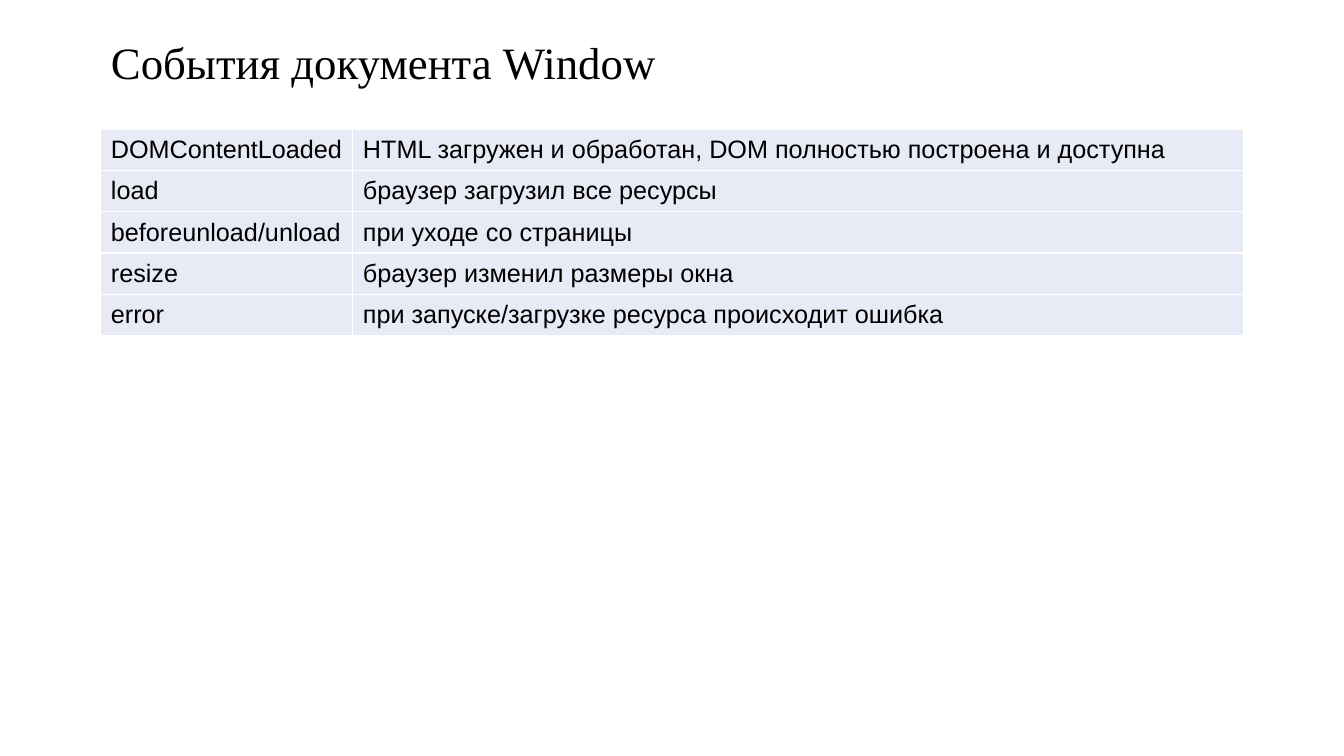
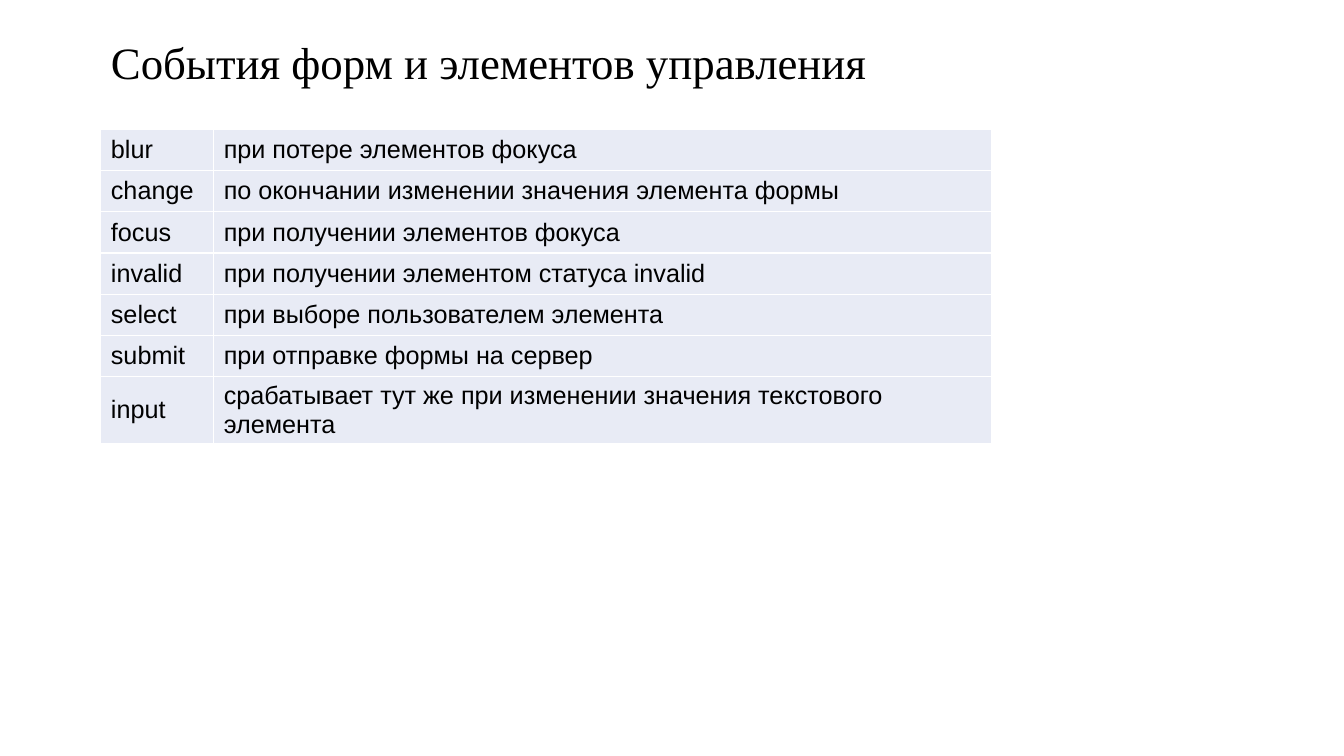
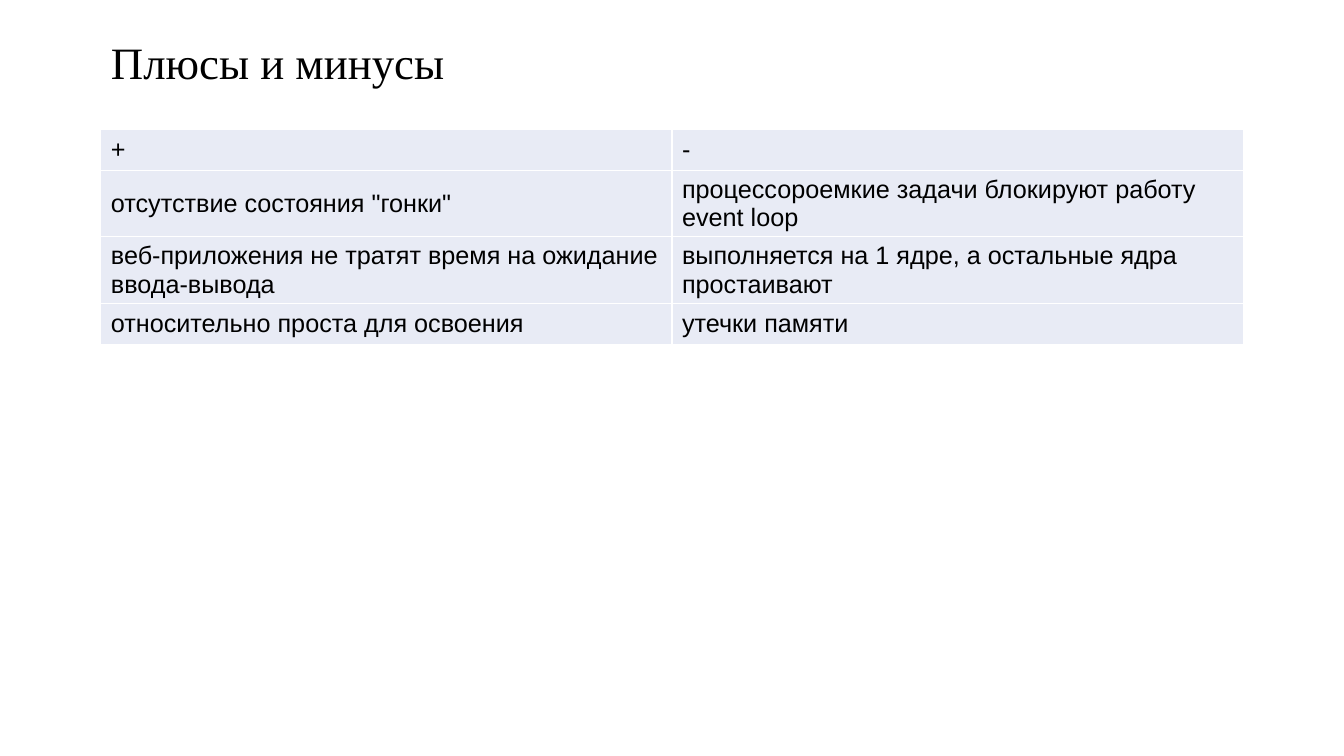
import pptx
import pptx.util
import pptx.dml.color
import pptx.enum.text
import pptx.oxml
import pptx.oxml.ns

Inches = pptx.util.Inches
Pt = pptx.util.Pt
MID = pptx.enum.text.MSO_ANCHOR.MIDDLE
LEFT = pptx.enum.text.PP_ALIGN.LEFT

INK = "000000"
PALE = "E8EBF5"
RULE = "FFFFFF"
EDGE = 1
TOP = 1.28
WIDE = 11.33
ROW = 0.41


def color(code):
    return pptx.dml.color.RGBColor.from_string(code)


def style(par, face, size):
    par.alignment = LEFT
    for run in par.runs:
        run.font.name = face
        run.font.size = Pt(size)
        run.font.color.rgb = color(INK)


pages = [
    ("События документа Window", [2.5, 8.83], [
        ("DOMContentLoaded", "HTML загружен и обработан, DOM полностью построена и доступна"),
        ("load", "браузер загрузил все ресурсы"),
        ("beforeunload/unload", "при уходе со страницы"),
        ("resize", "браузер изменил размеры окна"),
        ("error", "при запуске/загрузке ресурса происходит ошибка"),
    ]),
    ("События форм и элементов управления", [1.12, 7.72], [
        ("blur", "при потере элементов фокуса"),
        ("change", "по окончании изменении значения элемента формы"),
        ("focus", "при получении элементов фокуса"),
        ("invalid", "при получении элементом статуса invalid"),
        ("select", "при выборе пользователем элемента"),
        ("submit", "при отправке формы на сервер"),
        ("input", "срабатывает тут же при изменении значения текстового элемента"),
    ]),
    ("Плюсы и минусы", [WIDE / 2, WIDE / 2], [
        ("+", "-"),
        ("отсутствие состояния \"гонки\"", "процессороемкие задачи блокируют работу event loop"),
        ("веб-приложения не тратят время на ожидание ввода-вывода",
         "выполняется на 1 ядре, а остальные ядра простаивают"),
        ("относительно проста для освоения", "утечки памяти"),
    ]),
]

deck = pptx.Presentation()
deck.slide_width = Inches(13.33)
deck.slide_height = Inches(7.5)

for head, cols, rows in pages:
    slide = deck.slides.add_slide(deck.slide_layouts[5])
    title = slide.shapes.title
    title.left, title.top = Inches(EDGE), Inches(0)
    title.width, title.height = Inches(WIDE), Inches(TOP)
    frame = title.text_frame
    frame.text = head
    frame.word_wrap = True
    frame.auto_size = pptx.enum.text.MSO_AUTO_SIZE.NONE
    frame.vertical_anchor = MID
    frame.paragraphs[0].line_spacing = 0.9
    style(frame.paragraphs[0], "Times New Roman", 32)

    table = slide.shapes.add_table(
        len(rows), len(cols), Inches(EDGE), Inches(TOP),
        Inches(sum(cols)), Inches(ROW * len(rows))).table
    table.first_row = False
    table.horz_banding = False
    for col, width in zip(table.columns, cols):
        col.width = Inches(width)
    for line, texts in zip(table.rows, rows):
        line.height = Inches(ROW)
        for cell, text in zip(line.cells, texts):
            cell.text_frame.text = text
            cell.vertical_anchor = MID
            style(cell.text_frame.paragraphs[0], "Arial", 18)
            props = cell._tc.get_or_add_tcPr()
            for side in ("lnL", "lnR", "lnT", "lnB"):
                props.append(pptx.oxml.parse_xml(
                    f'<a:{side} {pptx.oxml.ns.nsdecls("a")} w="{Pt(1)}">'
                    f'<a:solidFill><a:srgbClr val="{RULE}"/></a:solidFill></a:{side}>'))
            cell.fill.solid()
            cell.fill.fore_color.rgb = color(PALE)

deck.save("out.pptx")
